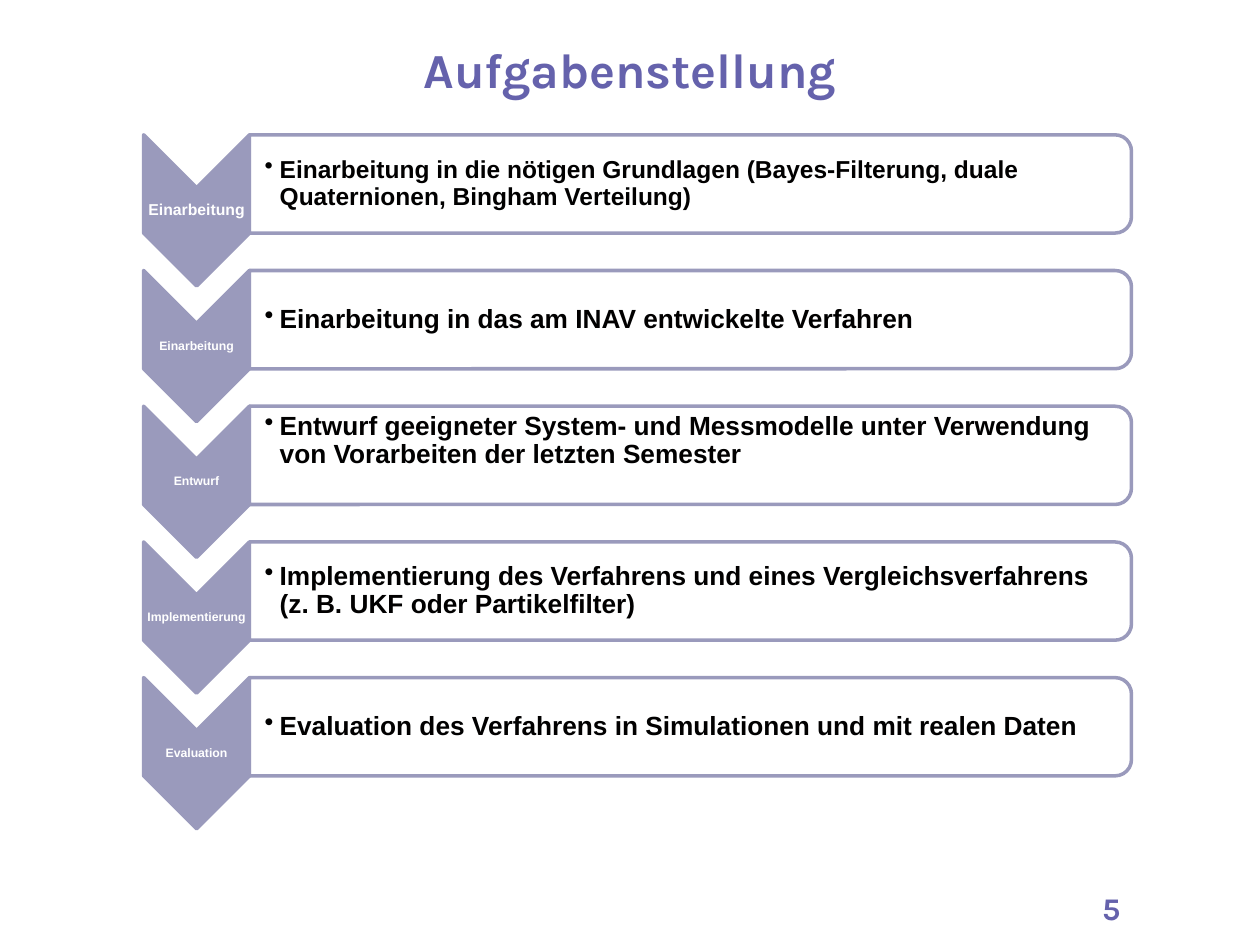
from lxml import etree
from pptx import Presentation
from pptx import util as u
from pptx.dml.color import RGBColor
from pptx.enum import shapes, text
from pptx.oxml.ns import qn

VIOLET = RGBColor(0x65, 0x62, 0xAC)
LAVENDER = RGBColor(0x9A, 0x9A, 0xBC)
WHITE = RGBColor(0xFF, 0xFF, 0xFF)
BLACK = RGBColor(0x01, 0x00, 0x00)

# Step label, label size, task, task size, vertical anchor of the task
MIDDLE, TOP = text.MSO_ANCHOR.MIDDLE, text.MSO_ANCHOR.TOP
STEPS = [
    ("Einarbeitung", 9, "Einarbeitung in die nötigen Grundlagen (Bayes-Filterung, "
     "duale Quaternionen, Bingham Verteilung)", 14, MIDDLE),
    ("Einarbeitung", 7, "Einarbeitung in das am INAV entwickelte Verfahren", 15, MIDDLE),
    ("Entwurf", 7, "Entwurf geeigneter System- und Messmodelle unter Verwendung "
     "von Vorarbeiten der letzten Semester", 15, TOP),
    ("Implementierung", 7, "Implementierung des Verfahrens und eines "
     "Vergleichsverfahrens (z. B. UKF oder Partikelfilter)", 15, MIDDLE),
    ("Evaluation", 7, "Evaluation des Verfahrens in Simulationen und mit realen Daten",
     15, MIDDLE),
]
ROW_PITCH = 1.077
ARROW_WIDTH, ARROW_HEIGHT = 0.84, 1.2
PANEL_HEIGHT = 0.78


def add_text(parent, box, words, font, size, color, align, spacing=1.0,
             anchor=MIDDLE, insets=(0.1, 0.05, 0.1, 0.05)):
    """Place one bold paragraph in a box and return the paragraph."""
    frame = parent.add_textbox(*map(u.Inches, box)).text_frame
    frame.word_wrap = True
    frame.vertical_anchor = anchor
    (frame.margin_left, frame.margin_top,
     frame.margin_right, frame.margin_bottom) = map(u.Inches, insets)
    para = frame.paragraphs[0]
    para.text = words
    para.alignment = align
    para.line_spacing = spacing
    para.font.name, para.font.size, para.font.bold = font, u.Pt(size), True
    para.font.color.rgb = color
    return para


def add_turned_shape(parent, kind, box, fill):
    """Place a shape turned by 90 degrees so that it covers the given box."""
    left, top, width, height = box
    shift = (width - height) / 2
    shape = parent.add_shape(kind, *map(u.Inches, (left + shift, top - shift, height, width)))
    shape.rotation = 90
    shape.shadow.inherit = False
    shape.fill.solid()
    shape.fill.fore_color.rgb = fill
    shape.line.color.rgb = LAVENDER
    shape.line.width = u.Pt(2)
    return shape


def add_bullet(para, indent):
    props = para._p.get_or_add_pPr()
    props.set("marL", str(u.Inches(indent)))
    props.set("indent", str(-u.Inches(indent)))
    bullet = etree.Element(qn("a:buChar"), char="•")
    props.insert_element_before(bullet, "a:tabLst", "a:defRPr", "a:extLst")


def add_step(parent, left, top, width, step):
    """One row: a downward chevron with its label, and the task panel."""
    label, label_size, task, task_size, anchor = step
    panel_left, panel_width = left + ARROW_WIDTH, width - ARROW_WIDTH

    # Chevron and label
    add_turned_shape(parent, shapes.MSO_SHAPE.CHEVRON,
                     (left, top, ARROW_WIDTH, ARROW_HEIGHT), LAVENDER)
    notch = ARROW_WIDTH / 2
    add_text(parent, (left, top + notch, ARROW_WIDTH, ARROW_HEIGHT - 2 * notch),
             label, "Arial", label_size, WHITE, text.PP_ALIGN.CENTER, 0.9,
             insets=(0, 0, 0, 0))

    # Panel, slightly transparent
    panel = add_turned_shape(parent, shapes.MSO_SHAPE.ROUND_2_SAME_RECTANGLE,
                             (panel_left, top, panel_width, PANEL_HEIGHT), WHITE)
    color = panel._element.spPr.find(qn("a:solidFill"))[0]
    etree.SubElement(color, qn("a:alpha"), val="90000")

    # Task
    edge = 0.04
    para = add_text(parent, (panel_left, top + edge, panel_width - edge,
                             PANEL_HEIGHT - 2 * edge),
                    task, "Arial", task_size, BLACK, text.PP_ALIGN.LEFT, 0.9,
                    anchor, (0.12, 0.01, 0.01, 0.01))
    add_bullet(para, 0.12)


def add_steps(page, left, top, width):
    group = page.shapes.add_group_shape()
    for row, step in enumerate(STEPS):
        add_step(group.shapes, left, top + row * ROW_PITCH, width, step)


def main():
    deck = Presentation()
    deck.slide_width, deck.slide_height = u.Inches(10), u.Inches(7.5)
    page = deck.slides.add_slide(deck.slide_layouts[6])

    # Title, page number and steps
    add_text(page.shapes, (0, 0.21, 10, 0.63), "Aufgabenstellung", "Karla", 28,
             VIOLET, text.PP_ALIGN.CENTER, 1.1)
    add_text(page.shapes, (8.15, 7.01, 0.84, 0.52), "5", "Karla", 18,
             VIOLET, text.PP_ALIGN.RIGHT, anchor=TOP)
    add_steps(page, 1.14, 1.07, 7.84)

    deck.save("out.pptx")


if __name__ == "__main__":
    main()
